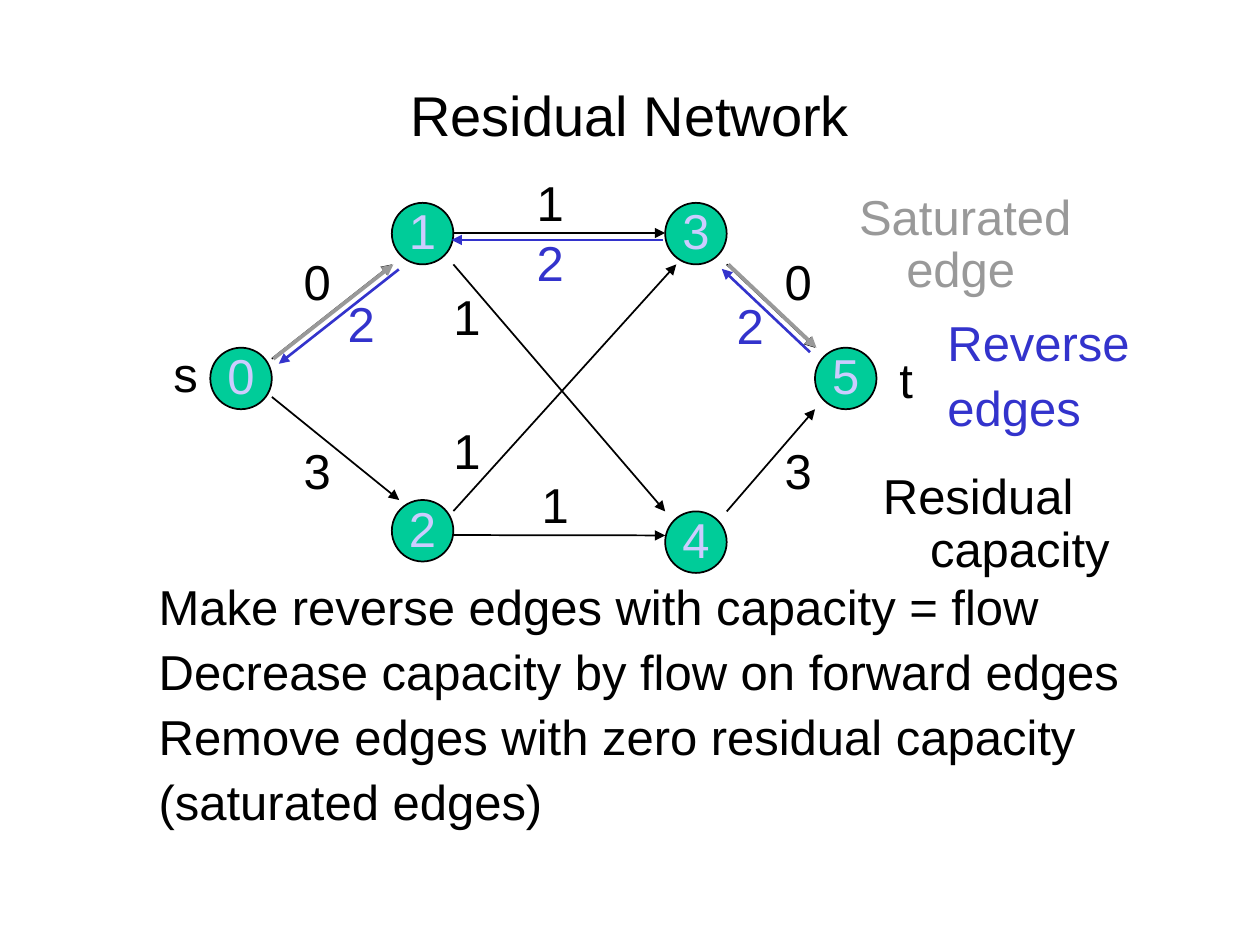
from lxml import etree
from pptx import Presentation
from pptx.dml.color import RGBColor
from pptx.enum.shapes import MSO_CONNECTOR, MSO_SHAPE
from pptx.enum.text import MSO_ANCHOR, PP_ALIGN
from pptx.oxml.ns import qn
from pptx.util import Cm, Pt

OVAL = MSO_SHAPE.OVAL
STRAIGHT = MSO_CONNECTOR.STRAIGHT
LEFT, CENTER, RIGHT = PP_ALIGN.LEFT, PP_ALIGN.CENTER, PP_ALIGN.RIGHT
MIDDLE, TOP = MSO_ANCHOR.MIDDLE, MSO_ANCHOR.TOP

BLACK = RGBColor(0x00, 0x00, 0x00)
GREEN = RGBColor(0x00, 0xCC, 0x99)
LAVENDER = RGBColor(0xCC, 0xCC, 0xFF)
GRAY = RGBColor(0x99, 0x99, 0x99)
BLUE = RGBColor(0x33, 0x33, 0xCC)

FONT = "Arial"
TITLE = "Residual Network"

# Lengths are centimetres. Nodes: name -> left, top of the circle
NODE_SIZE = 1.24
NODES = {
    "0": (4.24, 7.01), "1": (7.9, 4.09), "2": (7.9, 10.08),
    "3": (13.41, 4.09), "4": (13.41, 10.31), "5": (16.43, 7.01),
}

# Edges: source, target -> anchor on each node, as fractions of its box
EDGES = {
    ("0", "2"): ((1, 0.8), (0.12, 0)),
    ("2", "3"): ((1, 0.18), (0.18, 1)),
    ("0", "1"): ((1, 0.18), (0, 1)),
    ("3", "5"): ((1, 1), (0, 0)),
    ("1", "4"): ((1, 1), (0, 0)),
    ("4", "5"): ((1, 0), (0, 1)),
    ("2", "4"): ((1, 0.57), (0, 0.39)),
    ("1", "3"): ((1, 0.49), (0, 0.49)),
}
SATURATED = [("0", "1"), ("3", "5")]
SATURATED_SHIFT = (0.03, 0)
# Reverse edges: forward edge -> shift that sets them beside it
REVERSE = {
    ("0", "1"): (0.14, 0.1),
    ("3", "5"): (-0.1, 0.09),
    ("1", "3"): (-0.04, 0.14),
}

# Labels: text, left, top, colour
LABEL_SIZE = (1.5, 1.45)
LABELS = [
    ("0", 5.87, 5.08, BLACK), ("3", 5.87, 8.89, BLACK),
    ("0", 15.57, 5.08, BLACK), ("3", 15.57, 8.89, BLACK),
    ("1", 10.57, 3.48, BLACK), ("1", 10.67, 9.58, BLACK),
    ("1", 8.89, 5.79, BLACK), ("1", 8.89, 8.48, BLACK),
    ("2", 6.76, 5.92, BLUE), ("2", 10.57, 4.7, BLUE),
    ("2", 14.6, 5.97, BLUE), ("t", 17.88, 7.06, BLACK),
]

# Notes: paragraphs, (left, top, width, height), colour
NOTES = [
    (["Saturated edge"], (17.07, 3.76, 5.33, 2.59), GRAY),
    (["Reverse", "edges"], (18.85, 6.3, 4.45, 2.62), BLUE),
    (["Residual capacity"], (17.55, 9.4, 6.07, 2.44), BLACK),
    (["Make reverse edges with capacity = flow",
      "Decrease capacity by flow on forward edges",
      "Remove edges with zero residual capacity",
      "(saturated edges)"], (2.95, 11.63, 20.14, 3.78), BLACK),
]


def write(frame, lines, color, size=28, align=LEFT, anchor=TOP,
          spacing=0.9, hanging=True):
    frame.vertical_anchor = anchor
    for index, line in enumerate(lines):
        paragraph = frame.add_paragraph() if index else frame.paragraphs[0]
        paragraph.alignment = align
        paragraph.line_spacing = spacing
        if index:
            paragraph.space_before = Pt(7)
        if hanging:
            properties = paragraph._p.get_or_add_pPr()
            properties.set("marL", str(Cm(0.95)))
            properties.set("indent", str(-Cm(0.95)))
        run = paragraph.add_run()
        run.text = line
        run.font.name = FONT
        run.font.size = Pt(size)
        run.font.color.rgb = color


def add_text(slide, lines, box, color, **style):
    frame = slide.shapes.add_textbox(*map(Cm, box)).text_frame
    frame.word_wrap = True
    write(frame, lines, color, **style)


def add_node(slide, name, left, top):
    node = slide.shapes.add_shape(
        OVAL, Cm(left), Cm(top), Cm(NODE_SIZE), Cm(NODE_SIZE))
    node.shadow.inherit = False
    node.fill.solid()
    node.fill.fore_color.rgb = GREEN
    node.line.color.rgb = BLACK
    node.line.width = Pt(1)
    node.text_frame.word_wrap = False
    write(node.text_frame, [name], LAVENDER, align=CENTER, anchor=MIDDLE,
          spacing=0.93, hanging=False)


def edge_ends(edge, shift=(0, 0)):
    """Return the start and end points of an edge, moved by shift."""
    return [
        [corner + fraction * NODE_SIZE + offset
         for corner, fraction, offset in zip(NODES[name], anchor, shift)]
        for name, anchor in zip(edge, EDGES[edge])
    ]


def add_arrow(slide, start, end, color, width):
    arrow = slide.shapes.add_connector(STRAIGHT, *map(Cm, start + end))
    arrow.line.color.rgb = color
    arrow.line.width = Pt(width)
    line = arrow.line._get_or_add_ln()
    etree.SubElement(line, qn("a:tailEnd"), type="triangle")
    etree.SubElement(arrow._element.spPr, qn("a:effectLst"))


def main():
    presentation = Presentation()
    presentation.slide_width = Cm(25.4)
    presentation.slide_height = Cm(19.05)
    slide = presentation.slides.add_slide(presentation.slide_layouts[6])

    add_text(slide, [TITLE], (1.9, 1.32, 21.6, 2.11), BLACK, size=32,
             align=CENTER, anchor=MIDDLE, spacing=0.93, hanging=False)
    for name, (left, top) in NODES.items():
        add_node(slide, name, left, top)

    for edge in EDGES:
        add_arrow(slide, *edge_ends(edge), BLACK, 1)
    for edge in SATURATED:
        add_arrow(slide, *edge_ends(edge, SATURATED_SHIFT), GRAY, 2.15)
    for edge, shift in REVERSE.items():
        source, target = edge_ends(edge, shift)
        add_arrow(slide, target, source, BLUE, 1.5)

    for text, left, top, color in LABELS:
        add_text(slide, [text], (left, top, *LABEL_SIZE), color)
    add_text(slide, ["s"], (2.74, 6.93, *LABEL_SIZE), BLACK, align=RIGHT)
    for lines, box, color in NOTES:
        add_text(slide, lines, box, color)

    presentation.save("out.pptx")


if __name__ == "__main__":
    main()
